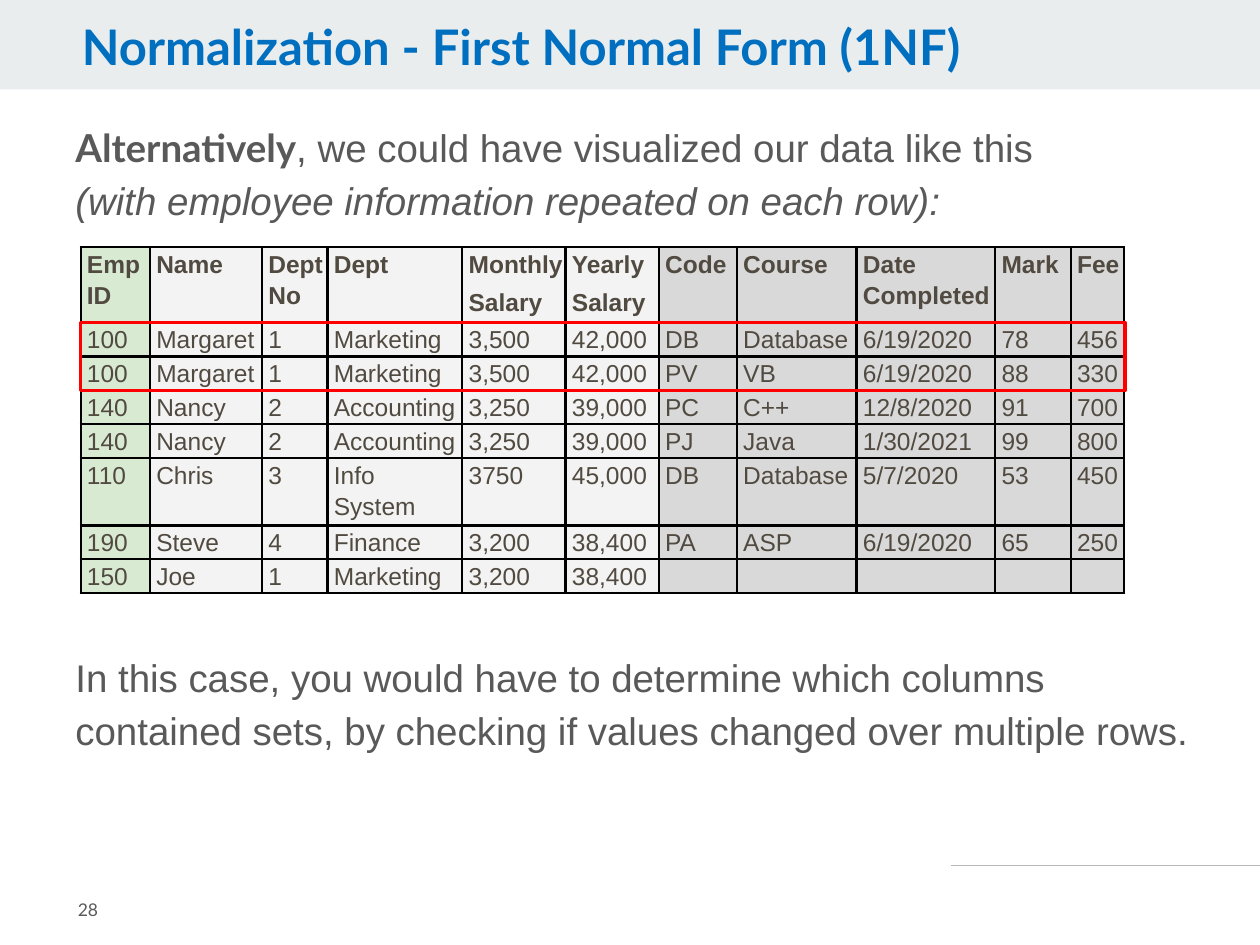
from pptx import Presentation
from pptx.dml.color import RGBColor
from pptx.enum.shapes import MSO_CONNECTOR, MSO_SHAPE
from pptx.enum.text import MSO_ANCHOR, MSO_AUTO_SIZE, PP_ALIGN
from pptx.oxml.ns import qn
from pptx.util import Inches, Pt
from lxml.etree import SubElement

BLUE = RGBColor(0x00, 0x6F, 0xBF)
GREY = RGBColor(0x59, 0x59, 0x59)
BROWN = RGBColor(0x51, 0x4A, 0x40)
BAND = RGBColor(0xE9, 0xED, 0xEE)
RULE = RGBColor(0xB7, 0xB7, 0xB7)
RED = RGBColor(0xFF, 0x00, 0x00)
KEY_FILL = RGBColor(0xD9, 0xEA, 0xD3)
EMPLOYEE_FILL = RGBColor(0xF3, 0xF3, 0xF3)
COURSE_FILL = RGBColor(0xD9, 0xD9, 0xD9)


def add_run(p, text, size, color, font="Arial", bold=False, italic=False):
    r = p.add_run()
    r.text = text
    r.font.name, r.font.size = font, Pt(size)
    r.font.bold, r.font.italic = bold, italic
    r.font.color.rgb = color


def add_borders(cell):
    tcPr = cell._tc.get_or_add_tcPr()
    for side in ("lnL", "lnR", "lnT", "lnB"):
        ln = SubElement(tcPr, qn(f"a:{side}"), w=str(Pt(1.5)))
        SubElement(SubElement(ln, qn("a:solidFill")), qn("a:srgbClr"), val="000000")


prs = Presentation()
prs.slide_width, prs.slide_height = Inches(10), Inches(7.5)
s = prs.slides.add_slide(prs.slide_layouts[5])

# Footer rule and header band
rule = s.shapes.add_connector(MSO_CONNECTOR.STRAIGHT, Inches(7.55), Inches(6.87),
                              Inches(10), Inches(6.87))
rule.line.color.rgb, rule.line.width = RULE, Pt(0.75)
SubElement(rule._element.spPr, qn("a:effectLst"))
band = s.shapes.add_shape(MSO_SHAPE.RECTANGLE, 0, 0, Inches(10), Inches(0.71))
band.shadow.inherit = False
band.fill.solid()
band.fill.fore_color.rgb = BAND
band.line.fill.background()

# Title, brought in front of the band
title = s.shapes.title
s.shapes._spTree.append(title._element)
title.left, title.top = Inches(0.55), Inches(0.13)
title.width, title.height = Inches(7.88), Inches(0.55)
tf = title.text_frame
tf.auto_size, tf.vertical_anchor = MSO_AUTO_SIZE.NONE, MSO_ANCHOR.TOP
p = tf.paragraphs[0]
p.alignment, p.line_spacing = PP_ALIGN.LEFT, 0.9
add_run(p, "Normalization - First Normal Form (1NF)", 28, BLUE, "Lato", bold=True)

# Body text; the space before the second paragraph leaves room for the table
tf = s.shapes.add_textbox(Inches(0.5), Inches(0.88), Inches(9.11), Inches(6.05)).text_frame
tf.word_wrap = True
p = tf.paragraphs[0]
p.line_spacing = 1.15
add_run(p, "Alternatively", 22, GREY, "Lato", bold=True)
add_run(p, ", we could have visualized our data like this ", 22, GREY)
p.add_line_break()
add_run(p, "(with employee information repeated on each row):", 22, GREY, italic=True)
p = tf.add_paragraph()
p.line_spacing, p.space_before = 1.15, Pt(242)
add_run(p, "In this case, you would have to determine which columns contained sets, "
           "by checking if values changed over multiple rows.", 22, GREY)

# Slide number
tf = s.shapes.add_textbox(Inches(0.52), Inches(6.93), Inches(1.23), Inches(0.57)).text_frame
tf.word_wrap, tf.vertical_anchor = True, MSO_ANCHOR.MIDDLE
add_run(tf.paragraphs[0], "28", 10, GREY, "Lato")

# Employee table
ROWS = [
    ["Emp ID", "Name", "Dept No", "Dept", "Monthly\nSalary", "Yearly\nSalary",
     "Code", "Course", "Date Completed", "Mark", "Fee"],
    ["100", "Margaret", "1", "Marketing", "3,500", "42,000", "DB", "Database", "6/19/2020", "78", "456"],
    ["100", "Margaret", "1", "Marketing", "3,500", "42,000", "PV", "VB", "6/19/2020", "88", "330"],
    ["140", "Nancy", "2", "Accounting", "3,250", "39,000", "PC", "C++", "12/8/2020", "91", "700"],
    ["140", "Nancy", "2", "Accounting", "3,250", "39,000", "PJ", "Java", "1/30/2021", "99", "800"],
    ["110", "Chris", "3", "Info System", "3750", "45,000", "DB", "Database", "5/7/2020", "53", "450"],
    ["190", "Steve", "4", "Finance", "3,200", "38,400", "PA", "ASP", "6/19/2020", "65", "250"],
    ["150", "Joe", "1", "Marketing", "3,200", "38,400", "", "", "", "", ""],
]
COL_WIDTHS = [0.55, 0.89, 0.52, 1.07, 0.82, 0.74, 0.62, 0.95, 1.1, 0.6, 0.42]
ROW_HEIGHTS = [0.6, 0.21, 0.21, 0.21, 0.21, 0.38, 0.21, 0.21]
FILLS = [KEY_FILL] + [EMPLOYEE_FILL] * 5 + [COURSE_FILL] * 5

table = s.shapes.add_table(len(ROWS), len(COL_WIDTHS), Inches(0.64), Inches(1.96),
                           Inches(sum(COL_WIDTHS)), Inches(sum(ROW_HEIGHTS))).table
for col, width in zip(table.columns, COL_WIDTHS):
    col.width = Inches(width)
for row, height in zip(table.rows, ROW_HEIGHTS):
    row.height = Inches(height)

for i, values in enumerate(ROWS):
    for j, value in enumerate(values):
        cell = table.cell(i, j)
        cell.margin_left = Inches(0.05)
        cell.margin_top = cell.margin_right = cell.margin_bottom = 0
        add_borders(cell)
        cell.fill.solid()
        cell.fill.fore_color.rgb = FILLS[j]
        tf = cell.text_frame
        for n, line in enumerate(value.split("\n")):
            p = tf.add_paragraph() if n else tf.paragraphs[0]
            p.line_spacing = 1.15
            p.space_before = Pt(4 if j in (2, 4, 5) or (i > 2 and j > 6) else 3)
            if line:
                add_run(p, line, 14, BROWN, bold=i == 0)
            else:
                p._p.get_or_add_endParaRPr().set("sz", "1400")

# Frame around the repeated employee rows
frame = s.shapes.add_shape(MSO_SHAPE.RECTANGLE, Inches(0.64), Inches(2.56),
                           Inches(8.29), Inches(0.54))
frame.shadow.inherit = False
frame.fill.background()
frame.line.color.rgb, frame.line.width = RED, Pt(2)

prs.save("out.pptx")
